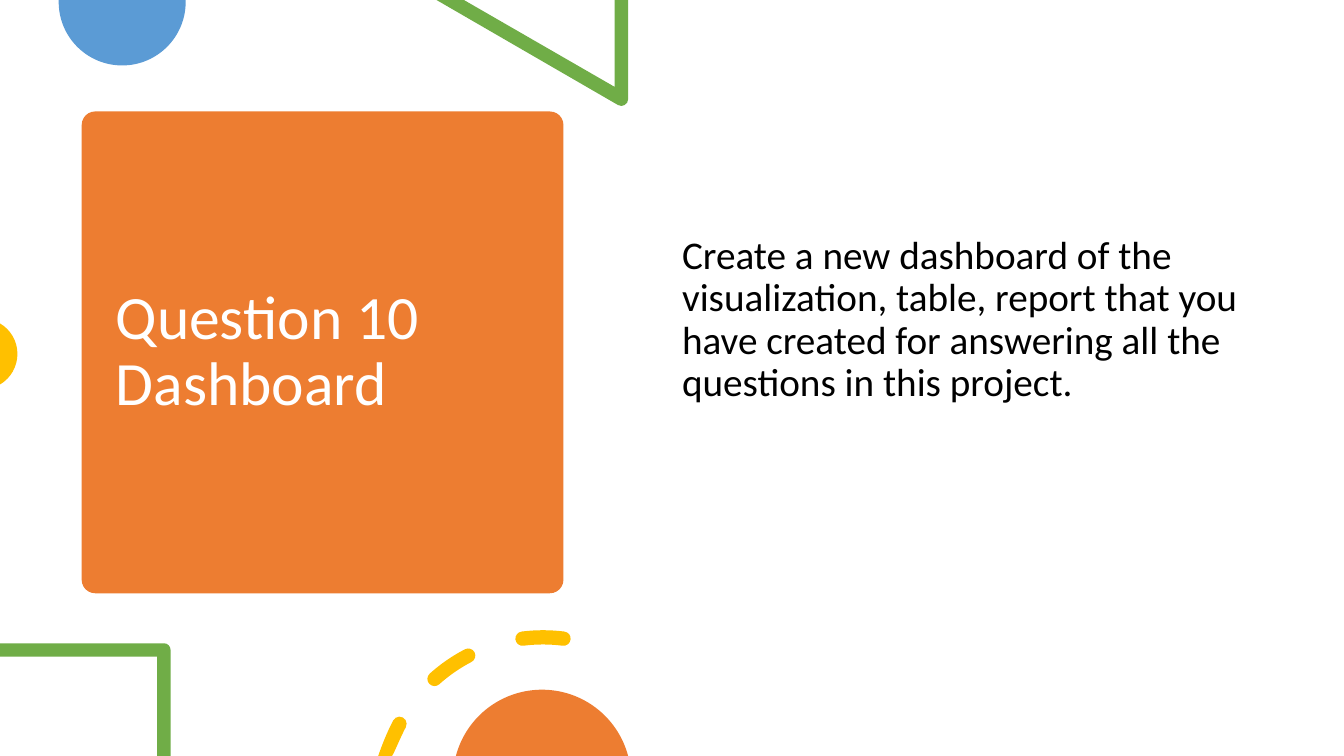
from math import asin, ceil, cos, degrees, radians, sin, sqrt, tan
from typing import NamedTuple

from pptx import Presentation
from pptx.dml.color import RGBColor
from pptx.enum.shapes import MSO_SHAPE
from pptx.enum.text import MSO_ANCHOR, MSO_AUTO_SIZE, PP_ALIGN
from pptx.oxml.ns import qn
from pptx.util import Cm, Pt

ORANGE = RGBColor(0xED, 0x7D, 0x31)
BLUE = RGBColor(0x5B, 0x9B, 0xD5)
GREEN = RGBColor(0x70, 0xAD, 0x47)
YELLOW = RGBColor(0xFF, 0xC0, 0x00)
WHITE = RGBColor(0xFF, 0xFF, 0xFF)
BLACK = RGBColor(0x00, 0x00, 0x00)
FONT = "Calibri"
BAND = 0.34
DASH_COUNT = 3
DASH_STEP = 34.7
DASH_SWEEP = 14.5


class Box(NamedTuple):
    left: float
    top: float
    width: float
    height: float

    @property
    def right(self):
        return self.left + self.width

    @property
    def bottom(self):
        return self.top + self.height

    def lengths(self):
        return [Cm(value) for value in self]


def arc(x, y, radius, start, end):
    pieces = ceil(abs(end - start) / 90)
    step = radians(end - start) / pieces
    pull = radius * 4 / 3 * tan(step / 4)
    angles = [radians(start) + step * i for i in range(pieces + 1)]
    nodes = [(x + radius * cos(a), y + radius * sin(a)) for a in angles]
    steps = [nodes[:1]]
    for a, b, (ax, ay), (bx, by) in zip(angles, angles[1:], nodes, nodes[1:]):
        steps.append([(ax - pull * sin(a), ay + pull * cos(a)),
                      (bx + pull * sin(b), by - pull * cos(b)), (bx, by)])
    return steps


def corners(*points):
    return [[point] for point in points]


def paint(shape, colour):
    shape.shadow.inherit = False
    shape.fill.solid()
    shape.fill.fore_color.rgb = colour
    shape.line.fill.background()


def add_outline(page, contours, colour):
    builder = None
    for contour in contours:
        start, *points = [(Cm(x), Cm(y)) for step in contour for x, y in step]
        if builder is None:
            builder = page.shapes.build_freeform(*start)
        else:
            builder.move_to(*start)
        builder.add_line_segments(points, close=True)
    shape = builder.convert_to_shape()
    lines = iter(list(shape._element.iter(qn("a:lnTo"))))
    for contour in contours:
        for step in contour[1:]:
            line = next(lines)
            if len(step) == 3:
                line.tag = qn("a:cubicBezTo")
                for extra in (next(lines), next(lines)):
                    line.append(extra[0])
                    extra.getparent().remove(extra)
    paint(shape, colour)


def write_text(shape, lines, size, colour, anchor=MSO_ANCHOR.TOP):
    frame = shape.text_frame
    frame.word_wrap = True
    frame.auto_size = MSO_AUTO_SIZE.NONE
    frame.vertical_anchor = anchor
    para = frame.paragraphs[0]
    para.alignment = PP_ALIGN.LEFT
    para.line_spacing = 0.9
    para.space_before = Pt(0)
    for index, line in enumerate(lines):
        if index:
            para.add_line_break()
        span = para.add_run()
        span.text = line
        span.font.name = FONT
        span.font.size = Pt(size)
        span.font.color.rgb = colour


def add_title_card(page, box):
    card = page.shapes.add_shape(MSO_SHAPE.ROUNDED_RECTANGLE, *box.lengths())
    card.adjustments[0] = 0.028
    paint(card, ORANGE)
    title = page.shapes.title
    title._element.addprevious(card._element)
    inner = Box(box.left + 0.6, box.top + 0.28, box.width - 1.2, box.height - 0.56)
    title.left, title.top, title.width, title.height = inner.lengths()
    write_text(title, ["Question 10", "Dashboard"], size=44, colour=WHITE,
               anchor=MSO_ANCHOR.MIDDLE)


def add_task(page, box):
    task = page.shapes.add_textbox(*box.lengths())
    write_text(task, ["Create a new dashboard of the visualization, table, report that you "
                      "have created for answering all the questions in this project."],
               size=28, colour=BLACK)


def add_top_disc(page, box):
    radius = box.width / 2
    steps = corners((box.right, box.top), (box.left, box.top))
    steps += arc(box.left + radius, box.bottom - radius, radius, 180, 0)
    add_outline(page, [steps], BLUE)


def add_side_disc(page, box):
    half = box.height / 2
    radius = (half ** 2 + box.width ** 2) / (2 * box.width)
    sweep = degrees(asin(half / radius))
    add_outline(page, [arc(box.right - radius, box.top + half, radius, -sweep, sweep)], YELLOW)


def add_bottom_disc(page, box):
    half = box.width / 2
    radius = (half ** 2 + box.height ** 2) / (2 * box.height)
    sweep = degrees(asin(half / radius))
    add_outline(page, [arc(box.left + half, box.top + radius, radius,
                           270 - sweep, 270 + sweep)], ORANGE)


def add_triangle(page, box):
    corner = BAND / 2
    inside = box.right - BAND
    steps = corners((box.right, box.top), (inside, box.top), (inside, box.bottom - 0.48),
                    (box.left + 0.69, box.top), (box.left, box.top))
    steps += arc(box.right - corner, box.bottom - corner, corner, 120, 0)
    add_outline(page, [steps], GREEN)


def add_frame_corner(page, box):
    corner = BAND / 2
    inside = box.right - BAND
    steps = corners((box.left, box.top), (box.left, box.top + BAND), (inside, box.top + BAND),
                    (inside, box.bottom), (box.right, box.bottom))
    steps += arc(box.right - corner, box.top + corner, corner, 0, -90)
    add_outline(page, [steps], GREEN)


def add_dashed_ring(page, box):
    half = 0.18
    radius = 4.09
    x = box.left + sqrt((radius + half) ** 2 - (radius + half - box.height) ** 2)
    y = box.top + half + radius
    dashes = []
    for index in range(DASH_COUNT):
        start = 270 - DASH_STEP * index - DASH_SWEEP / 2
        end = start + DASH_SWEEP
        first = arc(x, y, radius, start, end)[0][0]
        last = arc(x, y, radius, end, start)[0][0]
        steps = arc(x, y, radius + half, start, end)
        steps += arc(*last, half, end, end + 180)[1:]
        steps += arc(x, y, radius - half, end, start)[1:]
        if first[1] < box.bottom:
            steps += arc(*first, half, start + 180, start + 360)[1:]
        dashes.append([[(px, min(py, box.bottom)) for px, py in step] for step in steps])
    add_outline(page, dashes, YELLOW)


def main():
    deck = Presentation()
    deck.slide_width = Cm(33.87)
    deck.slide_height = Cm(19.05)
    page = deck.slides.add_slide(deck.slide_layouts[5])
    add_title_card(page, Box(2.06, 2.81, 12.14, 12.14))
    add_top_disc(page, Box(1.48, 0, 3.2, 1.65))
    add_triangle(page, Box(11, 0, 4.83, 2.67))
    add_side_disc(page, Box(0, 8.15, 0.44, 1.54))
    add_task(page, Box(16.94, 5.81, 14.6, 4.7))
    add_frame_corner(page, Box(0, 16.21, 4.3, 2.84))
    add_dashed_ring(page, Box(9.56, 15.88, 4.93, 3.17))
    add_bottom_disc(page, Box(11.49, 17.38, 4.34, 1.67))
    deck.save("out.pptx")


if __name__ == "__main__":
    main()
